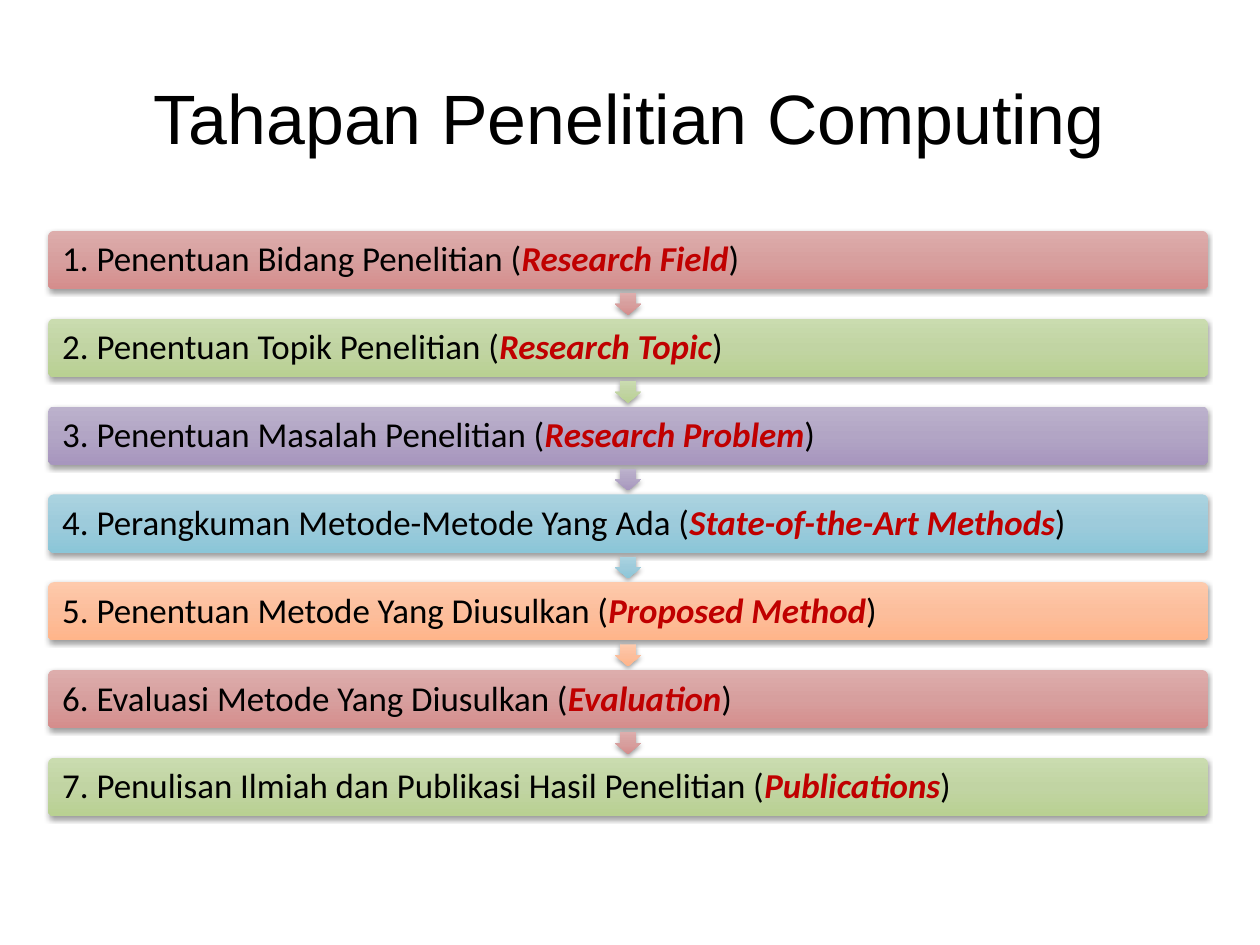
from copy import deepcopy
from pptx import Presentation
from pptx.dml.color import RGBColor
from pptx.enum.shapes import MSO_SHAPE
from pptx.enum.text import MSO_ANCHOR, PP_ALIGN
from pptx.oxml import parse_xml
from pptx.oxml.ns import nsdecls, qn
from pptx.util import Emu, Inches, Pt

BLACK = RGBColor(0, 0, 0)
ACCENT = RGBColor(0xC0, 0, 0)

# Gradients from top to bottom
RED, GREEN, PURPLE, BLUE, ORANGE = [
    [RGBColor.from_string(tone) for tone in row.split()] for row in (
        "DDADAC D79F9E D58D8C",
        "CADCAF C1D4A3 B9D192",
        "BCB2CC B2A5C5 A796BE",
        "ABD3E0 9DCBDB 8BC6D8",
        "FECAAC FCBE9C FFB58A",
    )]

STEPS = [
    ("Penentuan Bidang Penelitian", "Research Field", RED),
    ("Penentuan Topik Penelitian", "Research Topic", GREEN),
    ("Penentuan Masalah Penelitian", "Research Problem", PURPLE),
    ("Perangkuman Metode-Metode Yang Ada", "State-of-the-Art Methods", BLUE),
    ("Penentuan Metode Yang Diusulkan", "Proposed Method", ORANGE),
    ("Evaluasi Metode Yang Diusulkan", "Evaluation", RED),
    ("Penulisan Ilmiah dan Publikasi Hasil Penelitian", "Publications", GREEN),
]

# Slide size of 28 by 21 cm, in the exact units of the page format
WIDE, HIGH = Emu(10080625), Emu(7559675)

# Step grid, in inches
LEFT, TOP = 0.42, 2.02
BAR_W, BAR_H = 10.15, 0.51
PITCH = (6.63 - TOP) / (len(STEPS) - 1)
ARROW_W, ARROW_H = 0.19, 0.23


def add_shadow(shape):
    shape.shadow.inherit = False
    effects = shape._element.spPr.find(qn("a:effectLst"))
    effects.append(parse_xml(
        f'<a:outerShdw {nsdecls("a")} blurRad="{Pt(3.1)}" dist="{Pt(1.6)}" '
        'dir="5400000" rotWithShape="0"><a:srgbClr val="000000">'
        '<a:alpha val="38000"/></a:srgbClr></a:outerShdw>'))


def fill_tones(shape, tones):
    shape.fill.gradient()
    shape.fill.gradient_angle = 270
    grad = shape._element.spPr.find(qn("a:gradFill"))
    grad.set("rotWithShape", "0")
    # Middle stop
    stops = grad.find(qn("a:gsLst"))
    middle = deepcopy(stops[0])
    middle.set("pos", "50000")
    stops.insert(1, middle)
    for stop, tone in zip(shape.fill.gradient_stops, tones):
        stop.color.rgb = tone


def add_part(slide, kind, box, tones, adjust):
    shape = slide.shapes.add_shape(kind, *map(Inches, box))
    for i, value in enumerate(adjust):
        shape.adjustments[i] = value
    fill_tones(shape, tones)
    shape.line.fill.background()
    add_shadow(shape)
    return shape


def add_bar(slide, top, label, term, tones):
    bar = add_part(slide, MSO_SHAPE.ROUNDED_RECTANGLE,
                   (LEFT, top, BAR_W, BAR_H), tones, [0.1])
    frame = bar.text_frame
    frame.word_wrap = True
    frame.vertical_anchor = MSO_ANCHOR.MIDDLE
    frame.margin_left = frame.margin_top = Inches(0.11)
    frame.margin_right, frame.margin_bottom = Inches(0.09), Inches(0.1)
    line = frame.paragraphs[0]
    line.alignment = PP_ALIGN.LEFT
    line.line_spacing = 0.9
    line.space_after = Pt(7.7)
    line.font.name, line.font.size = "Calibri", Pt(22)
    for text, strong in ((f"{label} (", False), (term, True), (")", False)):
        run = line.add_run()
        run.text = text
        run.font.color.rgb = ACCENT if strong else BLACK
        run.font.bold = run.font.italic = strong


def add_arrow(slide, top, tones):
    # Centred below the bar, turned to point down
    left = LEFT + (BAR_W - ARROW_W) / 2
    gap = PITCH - BAR_H
    box = left, top + BAR_H + (gap - ARROW_H) / 2, ARROW_W, ARROW_H
    arrow = add_part(slide, MSO_SHAPE.RIGHT_ARROW, box, tones, [0.6, 0.5])
    arrow.rotation = 90


def set_title(slide, text):
    title = slide.shapes.title
    title.left, title.top = int(WIDE * 0.05), int(HIGH * 0.04)
    title.width, title.height = int(WIDE * 0.9), Inches(1.38)
    frame = title.text_frame
    frame.text = text
    frame.vertical_anchor = MSO_ANCHOR.MIDDLE
    frame.margin_left = frame.margin_right = 0
    frame.margin_top = frame.margin_bottom = 0
    line = frame.paragraphs[0]
    line.alignment = PP_ALIGN.CENTER
    line.font.name, line.font.size = "Arial", Pt(44)
    line.font.color.rgb = BLACK


def main():
    deck = Presentation()
    deck.slide_width, deck.slide_height = WIDE, HIGH
    slide = deck.slides.add_slide(deck.slide_layouts[5])
    set_title(slide, "Tahapan Penelitian Computing")
    # Numbered steps with arrows between them
    for i, (label, term, tones) in enumerate(STEPS):
        top = TOP + i * PITCH
        add_bar(slide, top, f"{i + 1}. {label}", term, tones)
        if i < len(STEPS) - 1:
            add_arrow(slide, top, tones)
    deck.save("out.pptx")


main()
